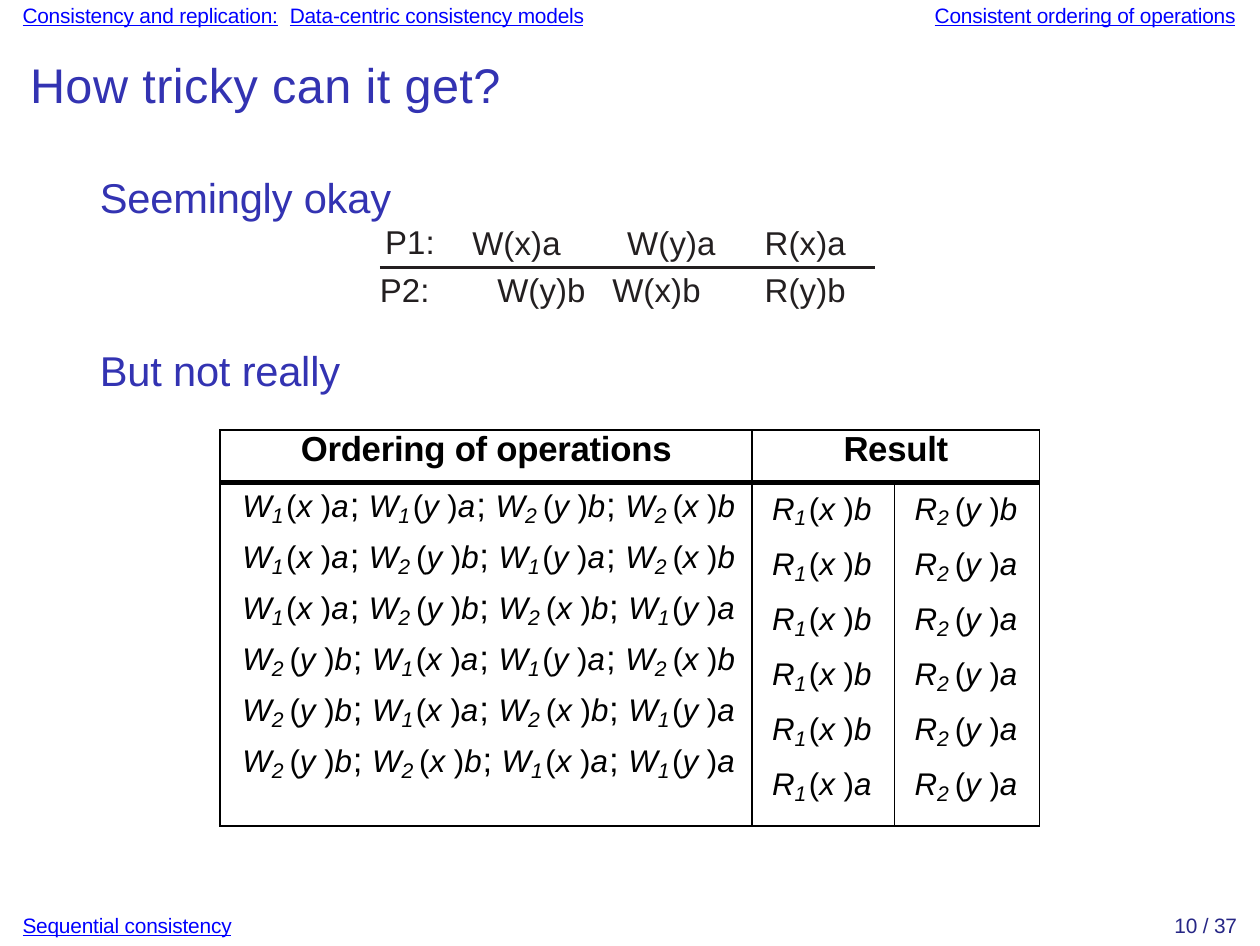
from lxml import etree
from pptx import Presentation
from pptx.dml.color import RGBColor
from pptx.enum.shapes import MSO_CONNECTOR
from pptx.enum.text import MSO_ANCHOR, MSO_AUTO_SIZE, PP_ALIGN
from pptx.oxml.ns import qn
from pptx.util import Inches, Pt

LEFT, CENTER, RIGHT = PP_ALIGN.LEFT, PP_ALIGN.CENTER, PP_ALIGN.RIGHT
TOP = MSO_ANCHOR.TOP
NO_FIT = MSO_AUTO_SIZE.NONE
STRAIGHT = MSO_CONNECTOR.STRAIGHT

# Content
COLORS = {"link": "0000FF", "heading": "3333B2", "page": "262685",
          "timeline": "231F20", "table": "000000"}
TITLE = "How tricky can it get?"
# Headings with left, top, width, height
HEADINGS = [("Seemingly okay", (0.38, 0.68, 1.36, 0.38)),
            ("But not really", (0.38, 1.37, 1, 0.23))]
FIRST_PROCESS = "P1:"
# Link boxes: parts, then left, top, width, height
LINKS = [
    (["Consistency and replication:", "Data-centric consistency models"], (0.07, 0, 2.31, 0.13)),
    (["Consistent ordering of operations"], (3.72, 0, 1.25, 0.13)),
    (["Sequential consistency"], (0.07, 3.64, 0.88, 0.13)),
]
PAGE_NUMBER = "10 / 37"
# Each process has a top and its events as (text, left)
TIMELINE = [
    (0.88, [("W(x)a", 1.88), ("W(y)a", 2.5), ("R(x)a", 3.05)]),
    (1.07, [("P2:", 1.51), ("W(y)b", 1.98), ("W(x)b", 2.44), ("R(y)b", 3.05)]),
]
TABLE_HEADER = ["Ordering of operations", "Result"]
# Operations as letter, process, variable, value
ORDERINGS = [
    "W1xa W1ya W2yb W2xb",
    "W1xa W2yb W1ya W2xb",
    "W1xa W2yb W2xb W1ya",
    "W2yb W1xa W1ya W2xb",
    "W2yb W1xa W2xb W1ya",
    "W2yb W2xb W1xa W1ya",
]
FIRST_READS = ["R1xb"] * 5 + ["R1xa"]
SECOND_READS = ["R2yb"] + ["R2ya"] * 5
# Table columns: lines, left, top and bottom margins, space between lines
TABLE_BODY = [(ORDERINGS, (0.09, 0.01, 0), 2.3),
              (FIRST_READS, (0.08, 0.02, 0.08), 3.5),
              (SECOND_READS, (0.08, 0.02, 0.08), 3.5)]
COLUMNS, ROWS = [2.13, 0.57, 0.58], [0.21, 1.21]


def add_span(para, text, size, color, spacing=0, bold=False, italic=False,
             underline=False, baseline=0):
    span = para.add_run()
    span.text = text
    font = span.font
    font.name, font.size = "Arial", Pt(size)
    font.bold, font.italic, font.underline = bold, italic, underline
    font.color.rgb = RGBColor.from_string(COLORS[color])
    properties = span._r.get_or_add_rPr()
    properties.set("spc", str(round(spacing * 100)))
    if baseline:
        properties.set("baseline", str(baseline * 1000))


def prepare(box, left_margin, top_margin):
    frame = box.text_frame
    frame.word_wrap, frame.auto_size = True, NO_FIT
    frame.vertical_anchor = TOP
    frame.margin_left, frame.margin_top = Inches(left_margin), Inches(top_margin)
    frame.margin_right = frame.margin_bottom = 0
    para = frame.paragraphs[0]
    para.alignment = LEFT
    return para


def add_box(place, left_margin=0.02, top_margin=0.01):
    box = page.shapes.add_textbox(*map(Inches, place))
    return prepare(box, left_margin, top_margin)


def remove_bullet(para):
    properties = para._p.get_or_add_pPr()
    properties.set("marL", "0")
    properties.set("indent", "0")
    etree.SubElement(properties, qn("a:buNone"))
    para.space_before = Pt(0)


def fill_placeholder(box, place, text, size, spacing):
    box.left, box.top, box.width, box.height = map(Inches, place)
    para = prepare(box, 0.02, 0.01)
    remove_bullet(para)
    add_span(para, text, size, "heading", spacing)
    return para


def add_operation(para, operation, last):
    letter, process, variable, value = operation
    first = process == "1"
    end_spacing = 0 if last else {"a": 0.3, "b": 0.2}[value]
    add_span(para, letter, 9, "table", -0.1 if operation.startswith("R1") else 0, italic=True)
    add_span(para, process if first else process + " ", 10.5, "table",
             0.7 if first else 0, italic=True, baseline=-16)
    add_span(para, "(", 9, "table")
    add_span(para, variable + " ", 9, "table", italic=True)
    add_span(para, ")", 9, "table")
    add_span(para, value, 9, "table", end_spacing, italic=True)
    if not last:
        add_span(para, "; ", 10, "table")


def format_cell(cell, margins, top_line, bottom_line):
    cell.fill.background()
    cell.margin_left, cell.margin_top, cell.margin_bottom = map(Inches, margins)
    cell.margin_right = 0
    properties = cell._tc.get_or_add_tcPr()
    widths = [("L", 0.5), ("R", 0.5), ("T", top_line), ("B", bottom_line)]
    for index, (side, width) in enumerate(widths):
        line = etree.Element(qn("a:ln" + side), w=str(Pt(width)))
        solid = etree.SubElement(line, qn("a:solidFill"))
        etree.SubElement(solid, qn("a:srgbClr"), val=COLORS["table"])
        properties.insert(index, line)


deck = Presentation()
deck.slide_width, deck.slide_height = Pt(363), Pt(272.5)
page = deck.slides.add_slide(deck.slide_layouts[3])

# Title and headings
title, *bodies = page.placeholders
fill_placeholder(title, (0.1, 0.21, 1.95, 0.27), TITLE, 14, 0.1)
for body, (heading, place) in zip(bodies, HEADINGS):
    fill_placeholder(body, place, heading, 12, -0.05)

# The first process label closes the first heading
heading_frame = bodies[0].text_frame
heading_frame.paragraphs[0].line_spacing = Pt(14.3)
label = heading_frame.add_paragraph()
remove_bullet(label)
label.alignment, label.line_spacing = RIGHT, Pt(11.3)
add_span(label, FIRST_PROCESS, 9.5, "timeline", 0.05)

# Header and footer
for parts, place in LINKS:
    para = add_box(place)
    for index, part in enumerate(parts):
        if index:
            add_span(para, " ", 6, "heading", 1.8)
        add_span(para, part, 6, "link", -0.05, underline=True)
add_span(add_box((4.68, 3.64, 0.3, 0.13)), PAGE_NUMBER, 6, "page", -0.05)

# Timeline of the two processes
for top, events in TIMELINE:
    for text, left in events:
        add_span(add_box((left, top, 0.38, 0.19), 0.01), text, 9.5, "timeline", 0.05)
divider = page.shapes.add_connector(STRAIGHT, *map(Inches, (1.52, 1.07, 3.5, 1.07)))
divider.line.color.rgb = RGBColor.from_string(COLORS["timeline"])
divider.line.width = Pt(0.68)
etree.SubElement(divider._element.spPr, qn("a:effectLst"))

# Table of orderings and results
frame = page.shapes.add_table(len(ROWS), len(COLUMNS), Inches(0.88), Inches(1.72),
                              Inches(sum(COLUMNS)), Inches(sum(ROWS)))
table = frame.table
table.first_row = table.horz_banding = False
for column, width in zip(table.columns, COLUMNS):
    column.width = Inches(width)
for row, height in zip(table.rows, ROWS):
    row.height = Inches(height)
table.cell(0, 1).merge(table.cell(0, 2))
for index, (lines, margins, gap) in enumerate(TABLE_BODY):
    header, cell = table.cell(0, index), table.cell(1, index)
    format_cell(header, (0, 0, 0), 0.5, 1.5)
    format_cell(cell, margins, 1.5, 0.5)
    if index < len(TABLE_HEADER):
        para = header.text_frame.paragraphs[0]
        para.alignment = CENTER
        add_span(para, TABLE_HEADER[index], 10, "table", -0.05, bold=True)
    for number, line in enumerate(lines):
        text = cell.text_frame
        para = text.add_paragraph() if number else text.paragraphs[0]
        if number:
            para.space_before = Pt(gap)
        operations = line.split()
        for place, operation in enumerate(operations, 1):
            add_operation(para, operation, place == len(operations))

deck.save("out.pptx")
